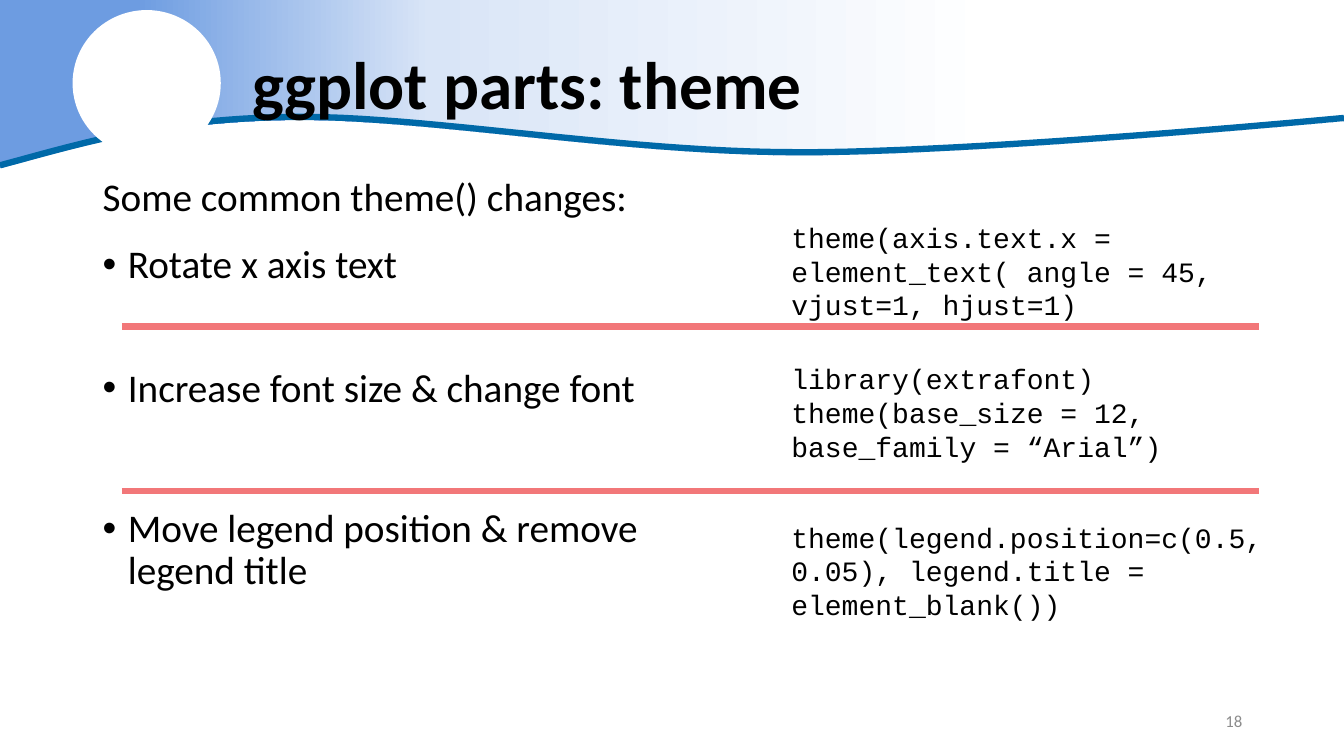
from copy import deepcopy
from dataclasses import dataclass
from typing import Any

from pptx import Presentation
from pptx.dml.color import RGBColor
from pptx.enum.shapes import MSO_CONNECTOR, MSO_SHAPE
from pptx.enum.text import MSO_ANCHOR, MSO_AUTO_SIZE, PP_ALIGN
from pptx.oxml.ns import qn
from pptx.oxml.xmlchemy import OxmlElement
from pptx.util import Inches, Pt

STRAIGHT = MSO_CONNECTOR.STRAIGHT
ELLIPSE = MSO_SHAPE.OVAL
TOP, MIDDLE = MSO_ANCHOR.TOP, MSO_ANCHOR.MIDDLE
GROW, FIXED = MSO_AUTO_SIZE.SHAPE_TO_FIT_TEXT, MSO_AUTO_SIZE.NONE
LEFT, RIGHT = PP_ALIGN.LEFT, PP_ALIGN.RIGHT

Point = tuple[float, float]


@dataclass(frozen=True)
class Theme:
    text: RGBColor = RGBColor.from_string("000000")
    muted: RGBColor = RGBColor.from_string("8C8C8C")
    white: RGBColor = RGBColor.from_string("FFFFFF")
    wave: RGBColor = RGBColor.from_string("0069A8")
    divider: RGBColor = RGBColor.from_string("F27779")
    band_stops: tuple[tuple[float, str], ...] = (
        (0.10, "6D9CE1"), (0.32, "D9E5F7"), (0.74, "FFFFFF"))
    sans: str = "Calibri"
    mono: str = "Courier New"
    title_size: int = 48
    body_size: int = 28
    code_size: int = 20
    number_size: int = 12
    rule_width: float = 4.5


@dataclass(frozen=True)
class Line:
    text: str
    space_before: float = 0
    bullet: bool = False


@dataclass(frozen=True)
class Code:
    top: float
    width: float
    height: float
    lines: tuple[str, ...]


THEME = Theme()
SLIDE_WIDTH, SLIDE_HEIGHT = 13.33, 7.5
BULLET_INDENT = 0.25
WAVE_START = (0, 1.64)
WAVE_CURVES = (
    ((0.75, 1.44), (1.55, 1.18), (2.87, 1.16)),
    ((4.19, 1.14), (6.15, 1.51), (7.9, 1.51)),
    ((9.64, 1.52), (13.33, 1.17), (13.33, 1.17)),
)
BAND_DROP = 0.03
BODY = (
    Line("Some common theme() changes:", 10),
    Line("Rotate x axis text", 18, True),
    Line("Increase font size & change font", 58, True),
    Line("Move legend position & remove legend title", 70, True),
)
CODES = (
    Code(2.14, 5.35, 0.77,
         ("theme(axis.text.x = element_text( angle = 45, vjust=1, hjust=1)",)),
    Code(3.54, 5.35, 1.31,
         ("library(extrafont)", "theme(base_size = 12, base_family = “Arial”)")),
    Code(5.11, 5.56, 0.77,
         ("theme(legend.position=c(0.5, 0.05), legend.title = element_blank())",)),
)
DIVIDER_TOPS = (3.24, 4.87)


def apply(target: Any, values: dict[str, Any]) -> None:
    for name, value in values.items():
        setattr(target, name, value)


def wave_points(steps: int = 24) -> list[Point]:
    points = [WAVE_START]
    for first, second, end in WAVE_CURVES:
        start = points[-1]
        for step in range(1, steps + 1):
            t = step / steps
            weights = ((1 - t) ** 3, 3 * t * (1 - t) ** 2, 3 * t * t * (1 - t), t ** 3)
            corners = (start, first, second, end)
            points.append((sum(w * c[0] for w, c in zip(weights, corners)),
                           sum(w * c[1] for w, c in zip(weights, corners))))
    return points


def add_outline(page: Any, points: list[Point], closed: bool) -> Any:
    places = [(Inches(x), Inches(y)) for x, y in points]
    builder = page.shapes.build_freeform(*places[0])
    builder.add_line_segments(places[1:], close=closed)
    shape = builder.convert_to_shape()
    shape.shadow.inherit = False
    return shape


def add_header(page: Any) -> None:
    wave = wave_points()
    edge = [(x, y + BAND_DROP) for x, y in reversed(wave)]
    band = add_outline(page, [(0, 0), (SLIDE_WIDTH, 0), *edge], True)
    band.line.fill.background()
    band.fill.gradient()
    band.fill.gradient_angle = 0
    stop_list = band.fill.gradient_stops[0]._gs.getparent()
    stop_list.append(deepcopy(stop_list[0]))
    for stop, (position, color) in zip(band.fill.gradient_stops, THEME.band_stops):
        stop.color.rgb = RGBColor.from_string(color)
        stop.position = position

    curve = add_outline(page, wave, False)
    curve.fill.background()
    curve.line.color.rgb = THEME.wave
    curve.line.width = Pt(THEME.rule_width)

    disc = page.shapes.add_shape(
        ELLIPSE, Inches(0.72), Inches(0.1), Inches(1.47), Inches(1.45))
    disc.shadow.inherit = False
    disc.fill.solid()
    disc.fill.fore_color.rgb = THEME.white
    disc.line.fill.background()


def add_bullet(para: Any) -> None:
    properties = para._p.get_or_add_pPr()
    properties.set("marL", str(Inches(BULLET_INDENT)))
    properties.set("indent", str(Inches(-BULLET_INDENT)))
    for tag, name, value in (("a:buFont", "typeface", "Arial"), ("a:buChar", "char", "•")):
        mark = OxmlElement(tag)
        mark.set(name, value)
        properties.append(mark)


def write(box: Any, lines: tuple[Line, ...], font: dict[str, Any],
          frame: dict[str, Any], paragraph: dict[str, Any]) -> None:
    apply(box.text_frame, {"word_wrap": True, "auto_size": FIXED,
                           "vertical_anchor": TOP, **frame})
    for index, line in enumerate(lines):
        para = box.text_frame.paragraphs[0] if index == 0 else box.text_frame.add_paragraph()
        apply(para, {"alignment": LEFT, "space_before": Pt(line.space_before), **paragraph})
        if line.bullet:
            add_bullet(para)
        span = para.add_run()
        span.text = line.text
        values = {"color": THEME.text, **font}
        span.font.color.rgb = values.pop("color")
        apply(span.font, values)


def add_box(page: Any, left: float, top: float, width: float, height: float) -> Any:
    return page.shapes.add_textbox(Inches(left), Inches(top), Inches(width), Inches(height))


def add_title(page: Any) -> None:
    title = page.shapes.title
    apply(title, {"left": Inches(2.4), "top": Inches(0.2),
                  "width": Inches(10.02), "height": Inches(1.34)})
    write(title, (Line("ggplot parts: theme"),),
          {"name": THEME.sans, "size": Pt(THEME.title_size), "bold": True},
          {"vertical_anchor": MIDDLE}, {"line_spacing": 0.9})
    page.shapes._spTree.append(title._element)


def add_divider(page: Any, top: float) -> None:
    divider = page.shapes.add_connector(
        STRAIGHT, Inches(1.21), Inches(top), Inches(12.49), Inches(top))
    divider.line.color.rgb = THEME.divider
    divider.line.width = Pt(THEME.rule_width)
    divider._element.find(qn("p:spPr")).append(OxmlElement("a:effectLst"))


def main() -> None:
    deck = Presentation()
    apply(deck, {"slide_width": Inches(SLIDE_WIDTH), "slide_height": Inches(SLIDE_HEIGHT)})
    page = deck.slides.add_slide(deck.slide_layouts.get_by_name("Title Only"))
    add_header(page)
    add_title(page)
    write(add_box(page, 0.92, 1.71, 6.47, 5.04), BODY,
          {"name": THEME.sans, "size": Pt(THEME.body_size)}, {}, {"line_spacing": 0.9})
    write(add_box(page, 9.42, 6.95, 3, 0.4), (Line("18"),),
          {"name": THEME.sans, "size": Pt(THEME.number_size), "color": THEME.muted},
          {"vertical_anchor": MIDDLE}, {"alignment": RIGHT})
    for code in CODES:
        write(add_box(page, 7.75, code.top, code.width, code.height),
              tuple(Line(text) for text in code.lines),
              {"name": THEME.mono, "size": Pt(THEME.code_size)}, {"auto_size": GROW}, {})
    for top in DIVIDER_TOPS:
        add_divider(page, top)
    deck.save("out.pptx")


if __name__ == "__main__":
    main()
